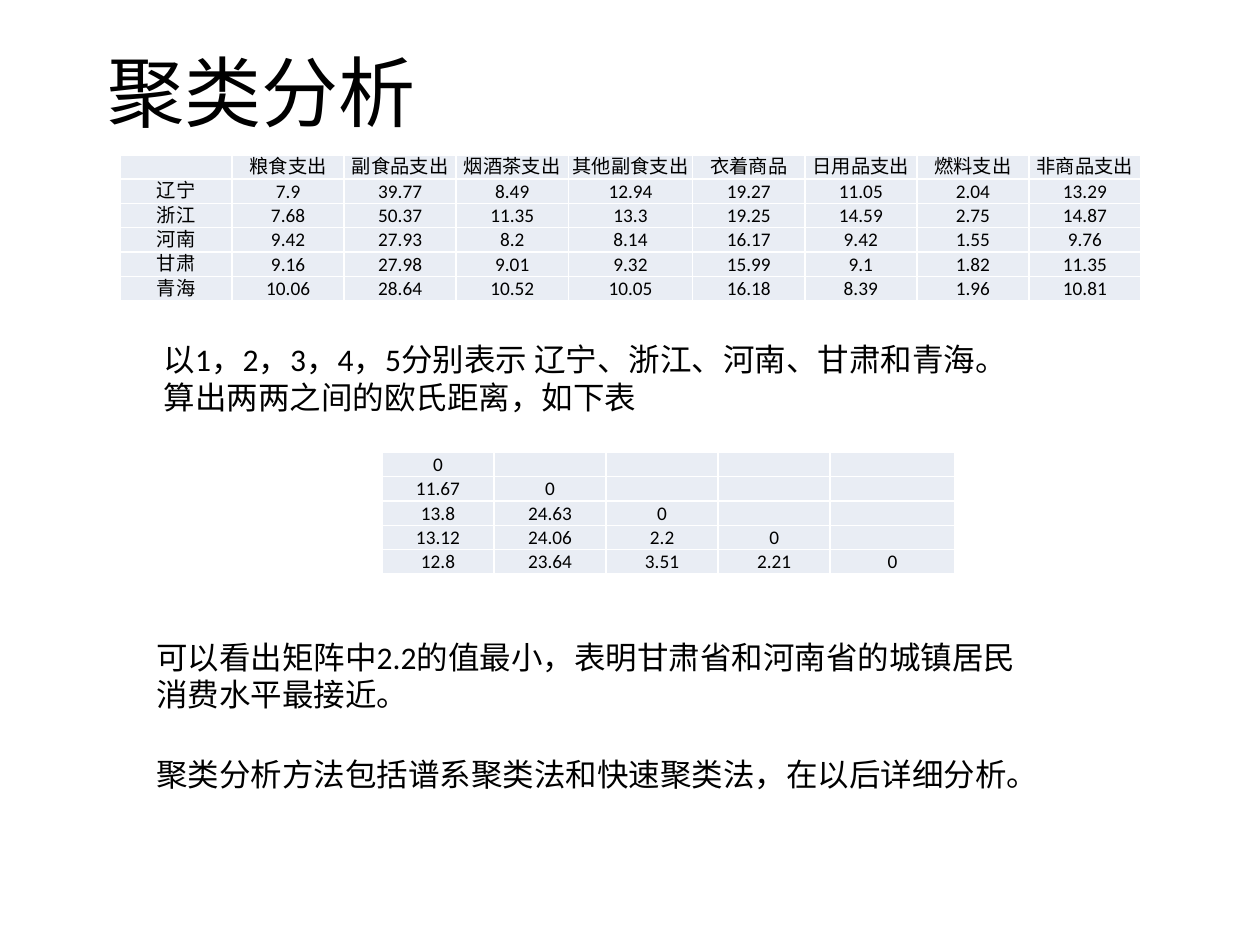
from lxml import etree
from pptx import Presentation
from pptx.dml.color import RGBColor
from pptx.enum.text import MSO_ANCHOR, PP_ALIGN
from pptx.oxml.ns import qn
from pptx.util import Cm, Pt

MIDDLE, TOP, BOTTOM = MSO_ANCHOR.MIDDLE, MSO_ANCHOR.TOP, MSO_ANCHOR.BOTTOM
CENTER = PP_ALIGN.CENTER

BLACK = RGBColor(0x00, 0x00, 0x00)
CELL_FILL = RGBColor(0xE9, 0xED, 0xF4)
FONT = "Calibri"
CELL_SIZE = 11
CELL_LINE = 13  # fixed line height, so that Chinese labels fit the short rows

ROW_HEIGHT = 0.49
COLUMN_WIDTH = 2.26
WIDE_COLUMN = 4  # the fifth column of both tables is wider
WIDE_WIDTH = 2.51

EXPENSES = [
    ["", "粮食支出", "副食品支出", "烟酒茶支出", "其他副食支出",
     "衣着商品", "日用品支出", "燃料支出", "非商品支出"],
    ["辽宁", "7.9", "39.77", "8.49", "12.94", "19.27", "11.05", "2.04", "13.29"],
    ["浙江", "7.68", "50.37", "11.35", "13.3", "19.25", "14.59", "2.75", "14.87"],
    ["河南", "9.42", "27.93", "8.2", "8.14", "16.17", "9.42", "1.55", "9.76"],
    ["甘肃", "9.16", "27.98", "9.01", "9.32", "15.99", "9.1", "1.82", "11.35"],
    ["青海", "10.06", "28.64", "10.52", "10.05", "16.18", "8.39", "1.96", "10.81"],
]

# Lower triangle of the distance matrix
DISTANCES = [
    ["0"],
    ["11.67", "0"],
    ["13.8", "24.63", "0"],
    ["13.12", "24.06", "2.2", "0"],
    ["12.8", "23.64", "3.51", "2.21", "0"],
]


def add_run(paragraph, text, size):
    run = paragraph.add_run()
    run.text = text
    run.font.name = FONT
    run.font.size = Pt(size)
    run.font.color.rgb = BLACK


def add_text(slide, left, top, width, height, lines, size=18, anchor=TOP):
    box = slide.shapes.add_textbox(Cm(left), Cm(top), Cm(width), Cm(height))
    frame = box.text_frame
    frame.word_wrap = True
    frame.vertical_anchor = anchor
    for index, line in enumerate(lines):
        paragraph = frame.add_paragraph() if index else frame.paragraphs[0]
        add_run(paragraph, line, size)


def fill_cell(cell, text):
    cell.fill.solid()
    cell.fill.fore_color.rgb = CELL_FILL
    cell.vertical_anchor = BOTTOM
    cell.margin_left = cell.margin_right = cell.margin_top = Cm(0.02)
    cell.margin_bottom = Cm(0)
    paragraph = cell.text_frame.paragraphs[0]
    paragraph.alignment = CENTER
    paragraph.line_spacing = Pt(CELL_LINE)
    if text:
        add_run(paragraph, text, CELL_SIZE)
    else:
        # An empty cell needs a small font too, or its row grows
        etree.SubElement(paragraph._p, qn("a:endParaRPr"), sz=str(CELL_SIZE * 100))


def add_data_table(slide, left, top, rows):
    column_count = len(rows[-1])
    widths = [WIDE_WIDTH if index == WIDE_COLUMN else COLUMN_WIDTH
              for index in range(column_count)]
    table = slide.shapes.add_table(
        len(rows), column_count, Cm(left), Cm(top),
        Cm(sum(widths)), Cm(ROW_HEIGHT * len(rows))).table
    table.first_row = False
    table.horz_banding = False
    for column, width in zip(table.columns, widths):
        column.width = Cm(width)
    for row_index, values in enumerate(rows):
        table.rows[row_index].height = Cm(ROW_HEIGHT)
        padded = values + [""] * (column_count - len(values))
        for column_index, value in enumerate(padded):
            fill_cell(table.cell(row_index, column_index), value)


def main():
    prs = Presentation()
    prs.slide_width, prs.slide_height = Cm(25.4), Cm(19.05)
    slide = prs.slides.add_slide(prs.slide_layouts[6])

    # Title
    add_text(slide, 1.91, 0.69, 21.6, 2.29, ["聚类分析"], size=44, anchor=MIDDLE)

    # Introduction to the distances
    add_text(slide, 3.05, 6.73, 18.06, 1.8, [
        "以1，2，3，4，5分别表示 辽宁、浙江、河南、甘肃和青海。",
        "算出两两之间的欧氏距离，如下表",
    ])

    # Spending by province, then distances between provinces
    add_data_table(slide, 2.42, 3.12, EXPENSES)
    add_data_table(slide, 7.7, 9.12, DISTANCES)

    # Conclusions
    add_text(slide, 2.9, 12.73, 18.06, 1.8,
             ["可以看出矩阵中2.2的值最小，表明甘肃省和河南省的城镇居民消费水平最接近。"])
    add_text(slide, 2.9, 15.09, 18.06, 1.02,
             ["聚类分析方法包括谱系聚类法和快速聚类法，在以后详细分析。"])

    prs.save("out.pptx")


if __name__ == "__main__":
    main()
